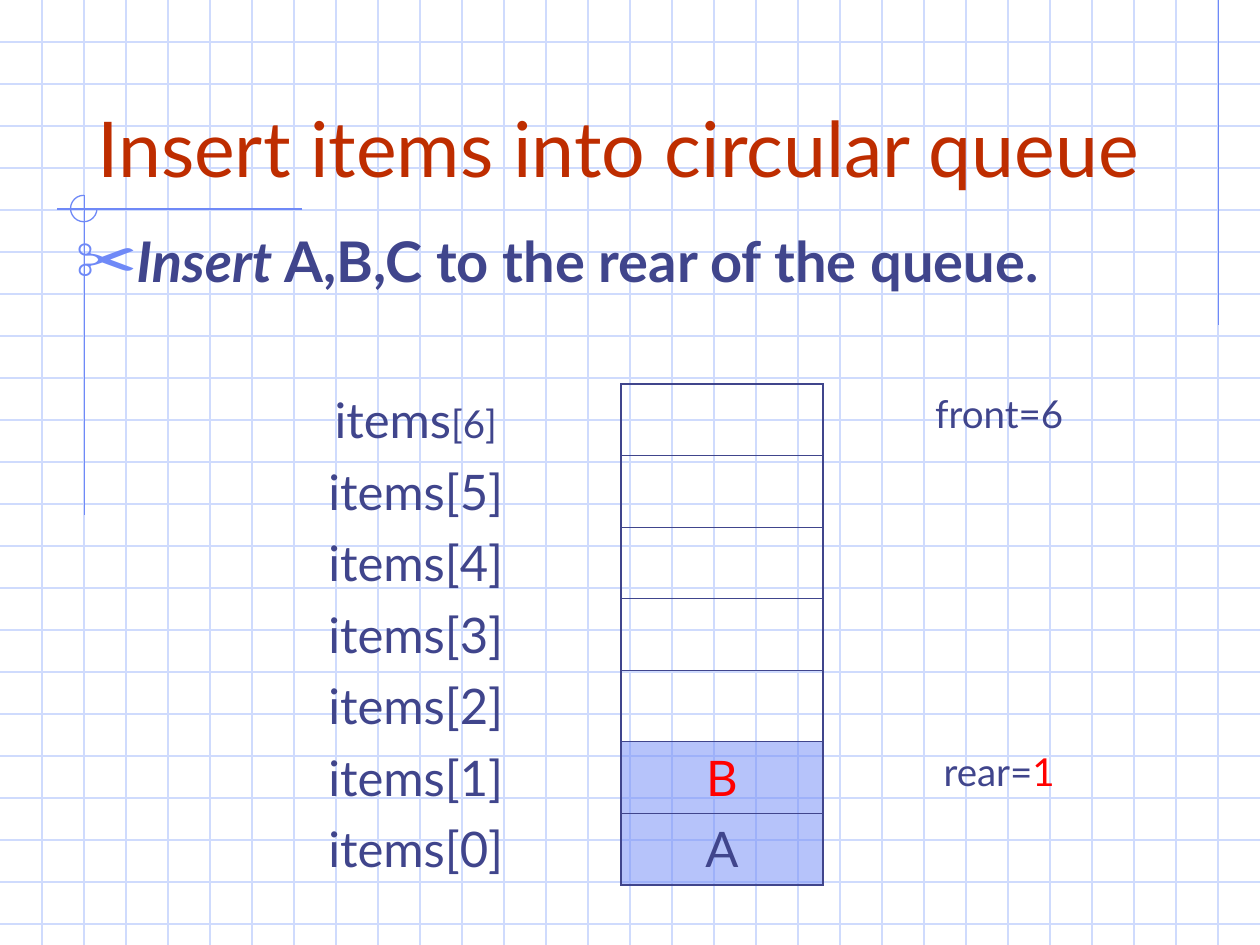
from dataclasses import dataclass

from lxml import etree
from pptx import Presentation
from pptx import util as u
from pptx.dml.color import RGBColor
from pptx.enum import shapes, text
from pptx.oxml import ns


@dataclass(frozen=True)
class Theme:
    font: str = "Lato"
    title_color: str = "BE2D00"
    ink: str = "40458C"
    accent: str = "6F89F7"
    grid: str = "CFDBFD"
    highlight: str = "FF0000"
    title_size: int = 44
    body_size: int = 32
    cell_size: int = 28
    note_size: int = 22
    thin: float = 0.45
    rule: float = 0.75
    thick: float = 1.08


THEME = Theme()


def add_text(paragraph, content, *, size, color, bold=False, italic=False):
    run = paragraph.add_run()
    run.text = content
    font = run.font
    font.name, font.size = THEME.font, u.Pt(size)
    font.bold, font.italic = bold, italic
    font.color.rgb = RGBColor.from_string(color)


def add_xml(parent, tag, **attributes):
    child = etree.SubElement(parent, ns.qn(tag))
    for name, value in attributes.items():
        child.set(name, str(value))
    return child


def add_color(parent, color):
    return add_xml(parent, "a:srgbClr", val=color)


def set_borders(cell, **widths):
    """Draw the named sides (L, R, T, B) in points and clear the others."""
    properties = cell._tc.get_or_add_tcPr()
    for side in "LRTB":
        width = widths.get(side, 0)
        line = add_xml(properties, f"a:ln{side}", w=u.Pt(width))
        if width:
            add_color(add_xml(line, "a:solidFill"), THEME.ink)
        else:
            add_xml(line, "a:noFill")


def fill_half_transparent(cell, color):
    cell.fill.solid()
    cell.fill.fore_color.rgb = RGBColor.from_string(color)
    fill_color = cell._tc.tcPr.find(".//" + ns.qn("a:solidFill") + "[last()]")
    fill_color = cell._tc.tcPr.find(ns.qn("a:solidFill"))
    add_xml(fill_color[0], "a:alpha", val=50000)


class SlideBuilder:
    def __init__(self, slide, theme):
        self.slide = slide
        self.theme = theme

    def line(self, x1, y1, x2, y2, color):
        connector = self.slide.shapes.add_connector(
            shapes.MSO_CONNECTOR.STRAIGHT, *map(u.Inches, (x1, y1, x2, y2)))
        connector.line.color.rgb = RGBColor.from_string(color)
        connector.line.width = u.Pt(self.theme.rule)
        add_xml(connector.element.spPr, "a:effectLst")

    def grid(self, width, height, per_inch=3):
        for row in range(1, int(height * per_inch) + 1):
            self.line(0, row / per_inch, width, row / per_inch, self.theme.grid)
        for column in range(1, int(width * per_inch)):
            self.line(column / per_inch, 0, column / per_inch, height, self.theme.grid)

    def three_quarter_ring(self, left, top, size):
        ring = self.slide.shapes.add_shape(
            shapes.MSO_SHAPE.ARC, *map(u.Inches, (left, top, size, size)))
        ring.adjustments[0] = 0
        ring.adjustments[1] = 162  # 270 degrees
        ring.shadow.inherit = False
        ring.fill.background()
        ring.line.color.rgb = RGBColor.from_string(self.theme.accent)
        ring.line.width = u.Pt(self.theme.rule)

    def placeholder(self, index, left, top, width, height, anchor):
        """Place a template placeholder in front and return its first paragraph."""
        shape = self.slide.placeholders[index]
        shape.left, shape.top, shape.width, shape.height = map(
            u.Inches, (left, top, width, height))
        self.slide.shapes.element.append(shape.element)
        frame = shape.text_frame
        frame.word_wrap = True
        frame.auto_size = text.MSO_AUTO_SIZE.NONE
        frame.vertical_anchor = anchor
        return frame.paragraphs[0]

    def title(self, content):
        paragraph = self.placeholder(0, 0.67, 0.33, 8.5, 1.25, text.MSO_ANCHOR.BOTTOM)
        paragraph.alignment = text.PP_ALIGN.LEFT
        add_text(paragraph, content, size=self.theme.title_size,
                 color=self.theme.title_color)

    def bullet(self, emphasis, content):
        paragraph = self.placeholder(1, 0.5, 1.75, 9, 3.87, text.MSO_ANCHOR.TOP)
        paragraph.space_before = u.Pt(8)
        properties = paragraph._p.get_or_add_pPr()
        properties.set("marL", str(u.Inches(0.38)))
        properties.set("indent", str(u.Inches(-0.38)))
        add_color(add_xml(properties, "a:buClr"), self.theme.accent)
        add_xml(properties, "a:buSzPct", val=110000)
        add_xml(properties, "a:buChar", char="✂")
        style = dict(size=self.theme.body_size, color=self.theme.ink, bold=True)
        add_text(paragraph, emphasis, italic=True, **style)
        add_text(paragraph, content, **style)

    def cell_text(self, cell, *runs):
        """Write (text, size, color) runs centred in a cell."""
        paragraph = cell.text_frame.paragraphs[0]
        paragraph.alignment = text.PP_ALIGN.CENTER
        paragraph.space_before = u.Pt(runs[-1][1] / 4)
        for content, size, color in runs:
            add_text(paragraph, content, size=size, color=color)

    def queue_table(self, capacity, values, notes):
        """Draw slots from the highest index down; values and notes go by index."""
        theme = self.theme
        widths, row_height = (3.26, 1.6, 2.8), 0.533
        row_height = 3.73 / capacity
        table = self.slide.shapes.add_table(
            capacity, len(widths), u.Inches(1.67), u.Inches(3.05),
            u.Inches(sum(widths)), u.Inches(row_height * capacity)).table
        table.first_row = table.horz_banding = False
        for column, width in zip(table.columns, widths):
            column.width = u.Inches(width)
        for row in range(capacity):
            index = capacity - 1 - row
            label, slot, note = (table.cell(row, column) for column in range(3))
            set_borders(label, R=theme.thick)
            set_borders(slot, L=theme.thick, R=theme.thick,
                        T=theme.thin if row else theme.thick,
                        B=theme.thin if index else theme.thick)
            set_borders(note, L=theme.thick)
            for cell in (label, slot, note):
                cell.fill.background()
            index_size = theme.note_size if row == 0 else theme.cell_size
            self.cell_text(label, ("items", theme.cell_size, theme.ink),
                           (f"[{index}]", index_size, theme.ink))
            if index in values:
                value, color = values[index]
                fill_half_transparent(slot, theme.accent)
                self.cell_text(slot, (value, theme.cell_size, color))
            if index in notes:
                self.cell_text(note, *((content, theme.note_size, color)
                                       for content, color in notes[index]))


def main():
    presentation = Presentation()
    presentation.slide_width, presentation.slide_height = u.Inches(10), u.Inches(7.5)
    slide = presentation.slides.add_slide(presentation.slide_layouts[1])
    builder = SlideBuilder(slide, THEME)

    builder.grid(10, 7.5)
    for ends in ((9.67, 0, 9.67, 2.58), (2.4, 1.66, 0.45, 1.66), (0.67, 1.55, 0.67, 4.09)):
        builder.line(*ends, THEME.accent)
    builder.three_quarter_ring(0.56, 1.55, 0.21)

    builder.title("Insert items into circular queue")
    builder.queue_table(
        7,
        values={0: ("A", THEME.ink), 1: ("B", THEME.highlight)},
        notes={6: [("front=6", THEME.ink)],
               1: [("rear=", THEME.ink), ("1", THEME.highlight)]})
    builder.bullet("Insert ", "A,B,C to the rear of the queue.")
    presentation.save("out.pptx")


if __name__ == "__main__":
    main()
